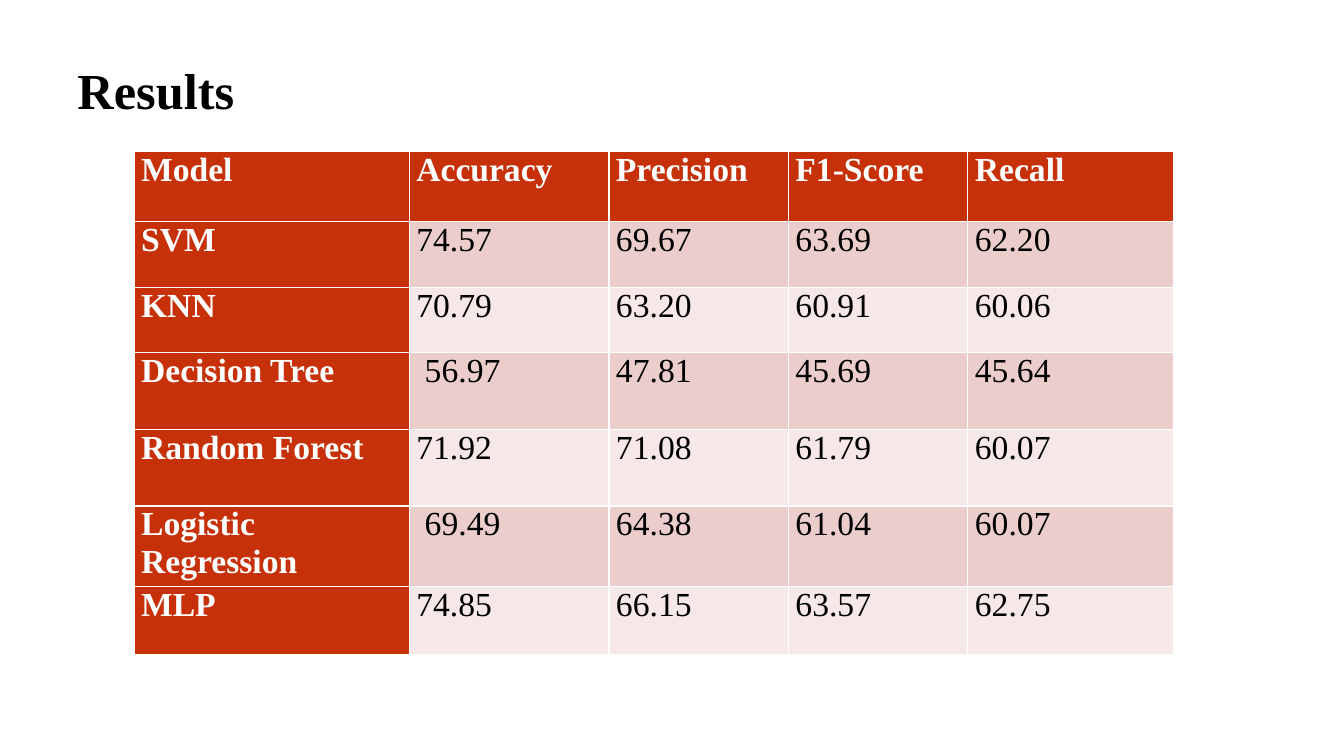
from dataclasses import dataclass

from pptx import Presentation
from pptx import util as u
from pptx.dml.color import RGBColor
from pptx.enum import text


@dataclass(frozen=True)
class Theme:
    font: str = "Times New Roman"
    title_size: int = 36
    cell_size: int = 24
    ink: str = "000000"
    light: str = "FFFFFF"
    header: str = "C73109"
    bands: tuple = ("EBCECC", "F5E8E7")


THEME = Theme()
COLUMN_WIDTHS = (2.73, 1.98, 1.78, 1.78, 2.04)
ROW_HEIGHTS = (0.7, 0.65, 0.65, 0.76, 0.76, 0.8, 0.67)
RESULTS = (
    ("Model", "Accuracy", "Precision", "F1-Score", "Recall"),
    ("SVM", "74.57", "69.67", "63.69", "62.20"),
    ("KNN", "70.79", "63.20", "60.91", "60.06"),
    ("Decision Tree", " 56.97", "47.81", "45.69", "45.64"),
    ("Random Forest", "71.92", "71.08", "61.79", "60.07"),
    ("Logistic Regression", " 69.49", "64.38", "61.04", "60.07"),
    ("MLP", "74.85", "66.15", "63.57", "62.75"),
)


def add_run(p, words, size, color, bold):
    r = p.add_run()
    r.text = words
    r.font.name = THEME.font
    r.font.size = u.Pt(size)
    r.font.bold = bold
    r.font.color.rgb = RGBColor.from_string(color)


def add_title(s, words, left, top, width, height):
    box = s.shapes.add_textbox(*map(u.Inches, (left, top, width, height)))
    tf = box.text_frame
    tf.word_wrap = True
    tf.vertical_anchor = text.MSO_ANCHOR.MIDDLE
    add_run(tf.paragraphs[0], words, THEME.title_size, THEME.ink, True)


def fill_cell(cell, words, row, column):
    """Headings fill the first row and column; the other rows alternate bands."""
    heading = row == 0 or column == 0
    cell.margin_left = cell.margin_right = u.Inches(0.07)
    cell.margin_top = cell.margin_bottom = 0
    cell.fill.solid()
    fill = THEME.header if heading else THEME.bands[(row - 1) % 2]
    cell.fill.fore_color.rgb = RGBColor.from_string(fill)
    p = cell.text_frame.paragraphs[0]
    wraps = words == "Logistic Regression"
    p.alignment = text.PP_ALIGN.LEFT if wraps else text.PP_ALIGN.JUSTIFY
    add_run(p, words, THEME.cell_size, THEME.light if heading else THEME.ink, heading)


def add_results_table(s, left, top, width, height):
    frame = s.shapes.add_table(len(RESULTS), len(RESULTS[0]),
                               *map(u.Inches, (left, top, width, height)))
    table = frame.table
    table.first_col = True
    for column, column_width in zip(table.columns, COLUMN_WIDTHS):
        column.width = u.Inches(column_width)
    for row, row_height in zip(table.rows, ROW_HEIGHTS):
        row.height = u.Inches(row_height)
    for i, values in enumerate(RESULTS):
        for j, words in enumerate(values):
            fill_cell(table.cell(i, j), words, i, j)


def main():
    prs = Presentation()
    prs.slide_width, prs.slide_height = u.Inches(13.33), u.Inches(7.5)
    s = prs.slides.add_slide(prs.slide_layouts[6])
    add_title(s, "Results", 0.67, 0.57, 12, 0.64)
    add_results_table(s, 1.33, 1.5, sum(COLUMN_WIDTHS), sum(ROW_HEIGHTS))
    prs.save("out.pptx")


if __name__ == "__main__":
    main()
